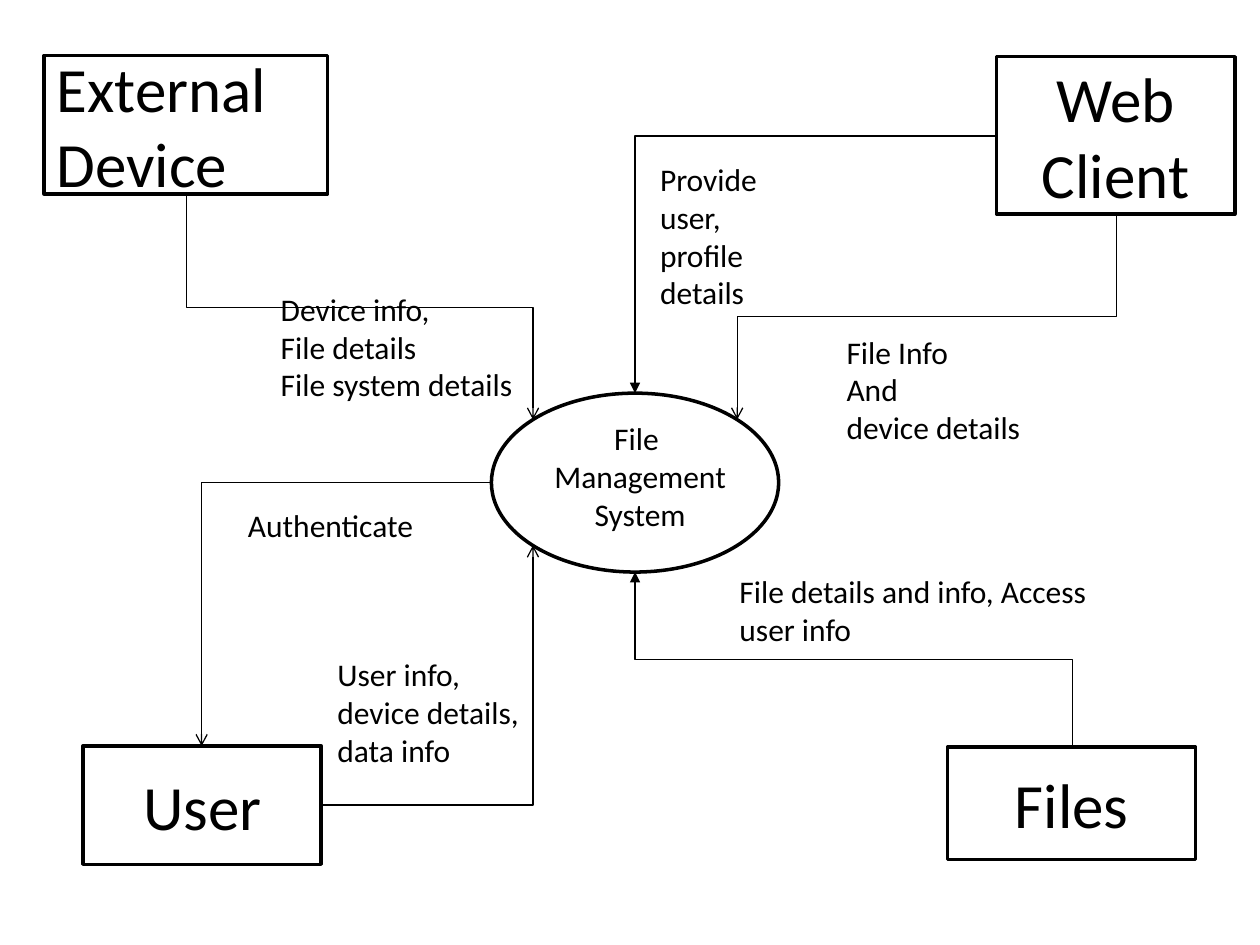
from dataclasses import dataclass

from lxml import etree
from pptx import Presentation
from pptx.dml.color import RGBColor
from pptx.enum.shapes import MSO_CONNECTOR, MSO_SHAPE
from pptx.enum.text import MSO_ANCHOR, MSO_AUTO_SIZE, PP_ALIGN
from pptx.oxml.ns import qn
from pptx.util import Inches, Pt

RECTANGLE, OVAL = MSO_SHAPE.RECTANGLE, MSO_SHAPE.OVAL
ELBOW = MSO_CONNECTOR.ELBOW
LEFT, CENTER = PP_ALIGN.LEFT, PP_ALIGN.CENTER
MIDDLE = MSO_ANCHOR.MIDDLE
GROW = MSO_AUTO_SIZE.SHAPE_TO_FIT_TEXT


@dataclass(frozen=True)
class Theme:
    ink: RGBColor = RGBColor(0, 0, 0)
    font: str = "Calibri"
    entity_size: Pt = Pt(36)
    label_size: Pt = Pt(18)
    outline: Pt = Pt(2)
    flow: Pt = Pt(0.75)


theme = Theme()


def write_lines(text_frame, lines, size, alignment):
    """Put each line in its own paragraph."""
    for index, line in enumerate(lines):
        paragraph = text_frame.paragraphs[0] if index == 0 else text_frame.add_paragraph()
        paragraph.alignment = alignment
        run = paragraph.add_run()
        run.text = line
        font_format = {"name": theme.font, "size": size}
        for name, value in font_format.items():
            setattr(run.font, name, value)
        run.font.color.rgb = theme.ink


presentation = Presentation()
presentation.slide_width, presentation.slide_height = Inches(10), Inches(7.5)
slide = presentation.slides.add_slide(presentation.slide_layouts[6])

# Central process and the four entities
nodes = [
    (OVAL, (3.9, 3.12, 2.28, 1.42), "", CENTER),
    (RECTANGLE, (0.66, 5.92, 1.89, 0.94), "User", CENTER),
    (RECTANGLE, (7.91, 0.45, 1.89, 1.25), "Web Client", CENTER),
    (RECTANGLE, (7.52, 5.93, 1.97, 0.89), "Files", CENTER),
    (RECTANGLE, (0.35, 0.44, 2.25, 1.1), "External Device", LEFT),
]
for kind, box, name, alignment in nodes:
    shape = slide.shapes.add_shape(kind, *map(Inches, box))
    shape.shadow.inherit = False
    shape.fill.background()
    shape.line.color.rgb = theme.ink
    shape.line.width = theme.outline
    shape.text_frame.vertical_anchor = MIDDLE
    if name:
        write_lines(shape.text_frame, [name], theme.entity_size, alignment)

# Flows: start, end, preset, rotation in degrees, flip, arrowhead
flows = [
    ((8.86, 1.7), (5.85, 3.33), "bentConnector3", 90, None, "arrow"),
    ((2.55, 6.39), (4.23, 4.33), "bentConnector2", 0, "flipV", "arrow"),
    ((3.9, 3.83), (1.6, 5.92), "bentConnector2", 180, "flipV", "arrow"),
    ((1.48, 1.55), (4.23, 3.33), "bentConnector3", 270, "flipH", "arrow"),
    ((8.51, 5.93), (5.04, 4.54), "bentConnector3", 270, "flipV", "triangle"),
    ((7.91, 1.08), (5.04, 3.12), "bentConnector2", 180, "flipV", "triangle"),
]
for (x1, y1), (x2, y2), preset, rotation, flip, head in flows:
    # The unrotated frame shares its centre with the drawn one
    width, height = abs(x2 - x1), abs(y2 - y1)
    if rotation in (90, 270):
        width, height = height, width
    left, top = (x1 + x2 - width) / 2, (y1 + y2 - height) / 2
    connector = slide.shapes.add_connector(
        ELBOW, Inches(left), Inches(top), Inches(left + width), Inches(top + height))
    connector.line.color.rgb = theme.ink
    connector.line.width = theme.flow

    properties = connector.element.spPr
    frame = properties.find(qn("a:xfrm"))
    frame.set("rot", str(rotation * 60000))
    if flip:
        frame.set(flip, "1")
    properties.find(qn("a:prstGeom")).set("prst", preset)
    etree.SubElement(properties.find(qn("a:ln")), qn("a:tailEnd"), type=head)
    etree.SubElement(properties, qn("a:effectLst"))

# Process name and flow labels: box, lines, alignment, wrapping
labels = [
    ((4.29, 3.28, 1.58, 1.01), ["File ", "Management", "System"], CENTER, False),
    ((6.62, 2.59, 1.65, 1.01), ["File Info", "And", "device details"], LEFT, False),
    ((5.14, 1.22, 1.04, 1.31), ["Provide", "user,", "profile", "details"], LEFT, False),
    ((5.77, 4.49, 3.01, 0.71), ["File details and info, Access", "user info"], LEFT, True),
    ((2.58, 5.15, 1.66, 1.01), ["User info,", "device details,", "data info"], LEFT, False),
    ((1.87, 3.97, 1.53, 0.4), ["Authenticate"], LEFT, False),
    ((2.13, 2.25, 2.06, 1.01), ["Device info,", "File details", "File system details"], LEFT, False),
]
for box, lines, alignment, wraps in labels:
    text_frame = slide.shapes.add_textbox(*map(Inches, box)).text_frame
    frame_format = {"word_wrap": wraps, "auto_size": GROW}
    for name, value in frame_format.items():
        setattr(text_frame, name, value)
    write_lines(text_frame, lines, theme.label_size, alignment)

presentation.save("out.pptx")
